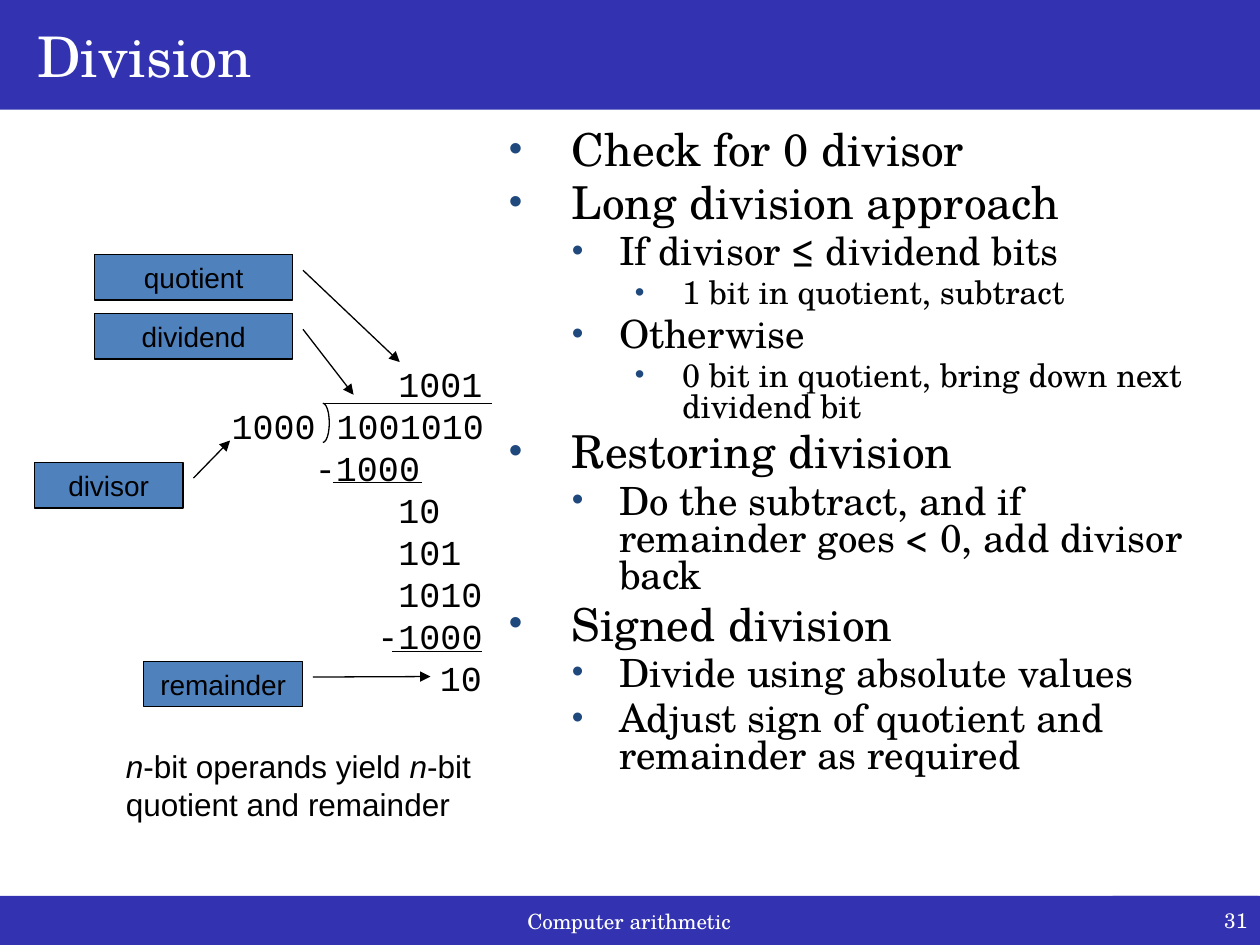
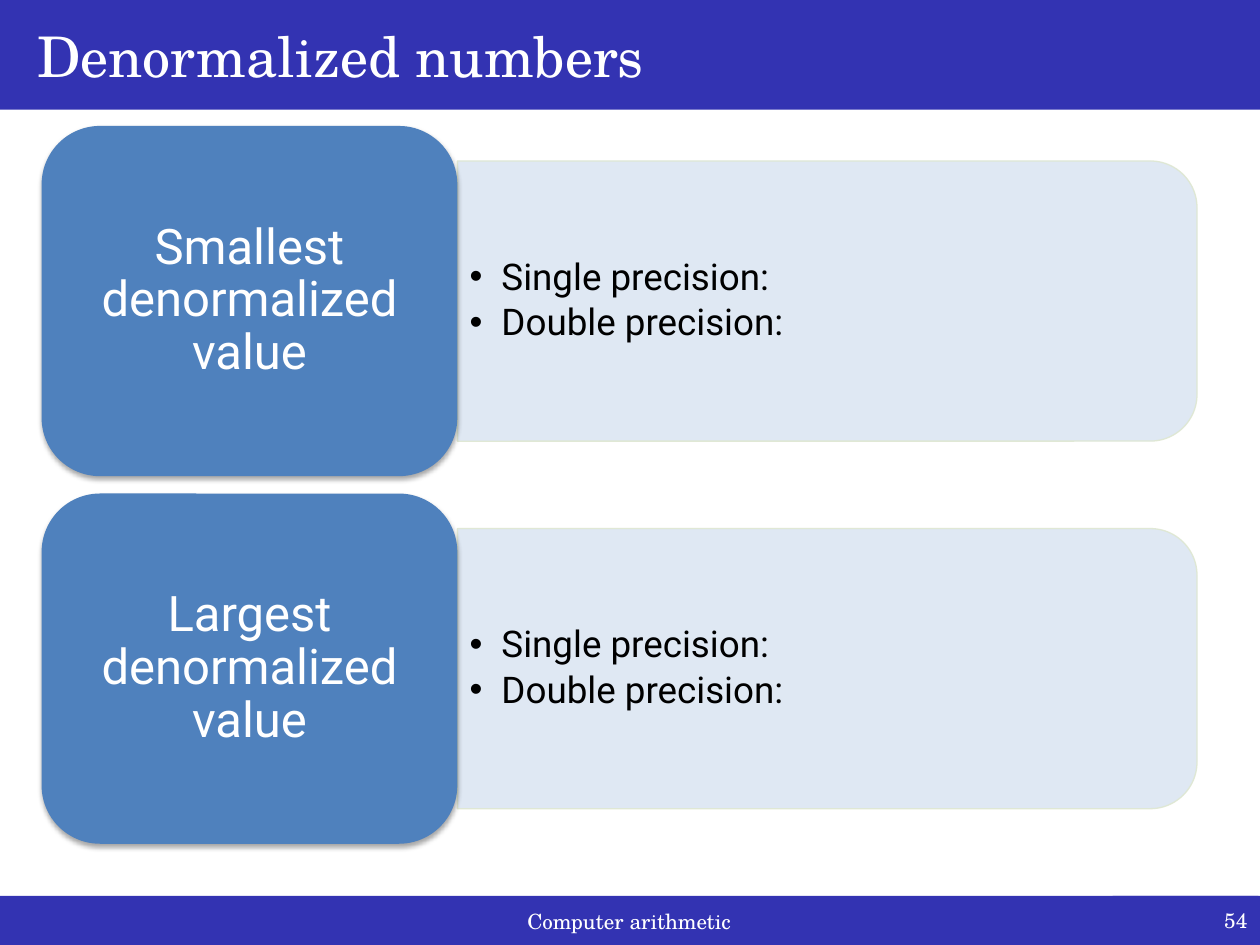
from lxml import etree
from pptx import Presentation
from pptx.dml.color import RGBColor
from pptx.enum.shapes import MSO_CONNECTOR, MSO_SHAPE
from pptx.enum.text import MSO_ANCHOR, PP_ALIGN
from pptx.oxml.ns import qn
from pptx.util import Cm, Pt

RECTANGLE = MSO_SHAPE.RECTANGLE
ROUNDED = MSO_SHAPE.ROUNDED_RECTANGLE
TWO_ROUNDED = MSO_SHAPE.ROUND_2_SAME_RECTANGLE
CALLOUT = MSO_SHAPE.LINE_CALLOUT_1
ARC = MSO_SHAPE.ARC
STRAIGHT = MSO_CONNECTOR.STRAIGHT
TOP, MIDDLE = MSO_ANCHOR.TOP, MSO_ANCHOR.MIDDLE
LEFT, CENTER, RIGHT = PP_ALIGN.LEFT, PP_ALIGN.CENTER, PP_ALIGN.RIGHT

BAND = RGBColor(0x33, 0x33, 0xB2)
BLUE = RGBColor(0x4F, 0x81, 0xBD)
NAVY = RGBColor(0x1F, 0x49, 0x7D)
PALE = RGBColor(0xDC, 0xE6, 0xF2)
PALE_EDGE = RGBColor(0xDE, 0xE7, 0xD1)
BLACK = RGBColor(0, 0, 0)
WHITE = RGBColor(0xFF, 0xFF, 0xFF)

SERIF, SANS, MONO, LABEL = "TeX Gyre Schola", "Arial", "Courier New", "Roboto"
SLIDE_WIDTH, SLIDE_HEIGHT = 25.4, 19.05
MONO_SIZE, MONO_ADVANCE = 20, 0.42
CALLOUT_HEIGHT, CALLOUT_GAP, CALLOUT_DROP = 0.92, 0.21, 0.32

OUTLINE_LEVELS = [(25.9, 1.27, 1.27), (22.2, 2.22, 0.95), (18.5, 3.49, 0.95)]
OUTLINE = [
    (0, "Check for 0 divisor"),
    (0, "Long division approach"),
    (1, "If divisor ≤ dividend bits"),
    (2, "1 bit in quotient, subtract"),
    (1, "Otherwise"),
    (2, "0 bit in quotient, bring down next dividend bit"),
    (0, "Restoring division"),
    (1, "Do the subtract, and if remainder goes < 0, add divisor back"),
    (0, "Signed division"),
    (1, "Divide using absolute values"),
    (1, "Adjust sign of quotient and remainder as required"),
]
WORKED_ROWS = [(8, "1001"), (0, "1000 1001010"), (4, "-1000"), (8, "10"),
               (8, "101"), (8, "1010"), (7, "-1000"), (10, "10")]
RULES = [(5.82, 9.22, 3.0), (6.02, 7.82, 4.6), (7.21, 9.02, 8.0)]
CALLOUTS = [
    ("quotient", 1.22, 0, 3.99, (7.37, 2.17)),
    ("dividend", 1.22, 1.19, 3.99, (6.44, 2.83)),
    ("remainder", 2.21, 8.2, 3.2, (7.99, 8.51)),
    ("divisor", 0, 4.19, 3.0, (3.95, 3.75)),
]


def lengths(box):
    return [Cm(value) for value in box]


def add_child(parent, tag, **attributes):
    return etree.SubElement(parent, qn(tag), attributes)


def add_run(paragraph, text, font, size, color, italic=False):
    run = paragraph.add_run()
    run.text = text
    run.font.name = font
    run.font.size = Pt(size)
    run.font.color.rgb = color
    run.font.italic = italic


def set_indent(paragraph, left, hanging=0):
    properties = paragraph._p.get_or_add_pPr()
    properties.set("marL", str(Cm(left)))
    properties.set("indent", str(-Cm(hanging)))
    return properties


def set_bullet(paragraph, left, hanging, color, percent=100):
    properties = set_indent(paragraph, left, hanging)
    bullet_color = add_child(properties, "a:buClr")
    add_child(bullet_color, "a:srgbClr", val=str(color))
    add_child(properties, "a:buSzPct", val=str(percent * 1000))
    add_child(properties, "a:buFont", typeface=SANS)
    add_child(properties, "a:buChar", char="•")


def set_alpha(color_format_fill, percent):
    color = color_format_fill.find(".//" + qn("a:srgbClr"))
    add_child(color, "a:alpha", val=str(percent * 1000))


def add_shape(slide, kind, box, fill, line=None):
    shape = slide.shapes.add_shape(kind, *lengths(box))
    shape.shadow.inherit = False
    if fill is None:
        shape.fill.background()
    else:
        shape.fill.solid()
        shape.fill.fore_color.rgb = fill
    if line is None:
        shape.line.fill.background()
    else:
        shape.line.color.rgb = line
        shape.line.width = Pt(0.75)
    shape.text_frame.word_wrap = True
    shape.text_frame.vertical_anchor = MIDDLE
    return shape


def add_text_box(slide, box, anchor=TOP):
    frame = slide.shapes.add_textbox(*lengths(box)).text_frame
    frame.word_wrap = True
    frame.vertical_anchor = anchor
    return frame


def next_paragraph(frame, index):
    return frame.add_paragraph() if index else frame.paragraphs[0]


def add_band(slide, box, text, size, alignment, indent=0):
    band = add_shape(slide, RECTANGLE, box, BAND)
    paragraph = band.text_frame.paragraphs[0]
    paragraph.alignment = alignment
    set_indent(paragraph, indent)
    add_run(paragraph, text, SERIF, size, WHITE)
    return paragraph


def add_framed_slide(presentation, title, number):
    slide = presentation.slides.add_slide(presentation.slide_layouts[6])
    add_band(slide, (0, 18.06, 25.37, 1.02), "Computer arithmetic", 12, CENTER)
    add_band(slide, (0, 0, SLIDE_WIDTH, 2.21), title, 32, LEFT, 0.5)
    page = add_band(slide, (22.43, 18.06, 2.97, 0.99), str(number), 12, RIGHT)
    page.space_after = Pt(6)
    return slide


def add_outline(slide, box):
    frame = add_text_box(slide, box)
    for index, (level, text) in enumerate(OUTLINE):
        size, left, hanging = OUTLINE_LEVELS[level]
        paragraph = next_paragraph(frame, index)
        paragraph.level = level
        paragraph.line_spacing = 0.8
        paragraph.space_before = Pt(size * 0.2)
        set_bullet(paragraph, left, hanging, NAVY, 85)
        add_run(paragraph, text, SERIF, size, BLACK)


def add_rule(slide, start, end, y):
    rule = slide.shapes.add_connector(STRAIGHT, *lengths((start, y, end, y)))
    rule.line.color.rgb = BLACK
    rule.line.width = Pt(0.75)
    add_child(rule._element.spPr, "a:effectLst")


def add_callout(slide, text, box, tip):
    left, top, width, height = box
    callout = add_shape(slide, CALLOUT, box, BLUE, BLACK)
    ends = [CALLOUT_DROP / height, 1 + CALLOUT_GAP / width,
            (tip[1] - top) / height, (tip[0] - left) / width]
    for index, value in enumerate(ends):
        callout.adjustments[index] = value
    add_child(callout.line._get_or_add_ln(), "a:tailEnd", type="triangle")
    paragraph = callout.text_frame.paragraphs[0]
    paragraph.alignment = CENTER
    add_run(paragraph, text, SANS, 16, BLACK)


def add_worked_division(slide, box):
    left, top, width, height = box
    frame = add_text_box(slide, (left + 3.73, top + 2.06, 5.59, 7.04))
    frame.margin_right = 0
    for index, (column, digits) in enumerate(WORKED_ROWS):
        paragraph = next_paragraph(frame, index)
        paragraph.line_spacing = Pt(MONO_SIZE * 1.2)
        set_indent(paragraph, column * MONO_ADVANCE)
        add_run(paragraph, digits, MONO, MONO_SIZE, BLACK)

    for start, end, y in RULES:
        add_rule(slide, left + start, left + end, top + y)
    bracket = add_shape(slide, ARC, (left + 5.69, top + 3, 0.26, 0.79), None, BLACK)
    bracket.adjustments[0] = 162
    bracket.adjustments[1] = 54

    for text, x, y, callout_width, tip in CALLOUTS:
        add_callout(slide, text, (left + x, top + y, callout_width, CALLOUT_HEIGHT),
                    (left + tip[0], top + tip[1]))

    note = add_text_box(slide, (left + 1.6, top + 9.8, width - 1.6, height - 9.8))
    paragraph = note.paragraphs[0]
    paragraph.line_spacing = Pt(21.6)
    for ending in ("-bit operands yield ", "-bit"):
        add_run(paragraph, "n", SANS, 18, BLACK, True)
        add_run(paragraph, ending, SANS, 18, BLACK)
    paragraph.add_line_break()
    add_run(paragraph, "quotient and remainder", SANS, 18, BLACK)


def add_label_shadow(shape):
    effects = shape._element.spPr.find(qn("a:effectLst"))
    shadow = add_child(effects, "a:outerShdw", blurRad=str(Pt(3.1)),
                       dist=str(Pt(1.8)), dir="5400000", rotWithShape="0")
    color = add_child(shadow, "a:srgbClr", val=str(BLACK))
    add_child(color, "a:alpha", val="35000")


def add_value_row(slide, box, label):
    left, top, width, height = box
    label_width = 8.38
    panel_width, panel_height = width - label_width, height * 0.8
    panel_left, panel_top = left + label_width, top + height * 0.1
    shift = (panel_width - panel_height) / 2
    panel = add_shape(slide, TWO_ROUNDED,
                      (panel_left + shift, panel_top - shift, panel_height, panel_width),
                      PALE, PALE_EDGE)
    panel.rotation = 90
    properties = panel._element.spPr
    set_alpha(properties.find(qn("a:solidFill")), 90)
    set_alpha(properties.find(qn("a:ln")), 90)

    frame = add_text_box(slide, (panel_left, panel_top, panel_width, panel_height), MIDDLE)
    for index, text in enumerate(("Single precision:", "Double precision:")):
        paragraph = next_paragraph(frame, index)
        paragraph.line_spacing = 0.9
        paragraph.space_after = Pt(3.15)
        set_bullet(paragraph, 0.64, 0.64, BLACK)
        add_run(paragraph, text, LABEL, 21, BLACK)

    tile = add_shape(slide, ROUNDED, (left, top, label_width, height), BLUE)
    add_label_shadow(tile)
    tile.text_frame.margin_left = tile.text_frame.margin_right = Cm(0.66)
    paragraph = tile.text_frame.paragraphs[0]
    paragraph.alignment = CENTER
    paragraph.line_spacing = 0.9
    add_run(paragraph, label, LABEL, 28, WHITE)


def build_division_slide(presentation):
    slide = add_framed_slide(presentation, "Division", 31)
    add_outline(slide, (10.01, 2.54, 14.12, 14.48))
    add_worked_division(slide, (0.69, 5.13, 9.4, 11.58))


def build_denormalized_slide(presentation):
    slide = add_framed_slide(presentation, "Denormalized numbers", 54)
    row_height, row_gap = 7.06, 0.35
    for index, size_word in enumerate(("Smallest", "Largest")):
        top = 2.54 + index * (row_height + row_gap)
        add_value_row(slide, (0.84, top, 23.29, row_height),
                      f"{size_word} denormalized value")


def main():
    presentation = Presentation()
    presentation.slide_width = Cm(SLIDE_WIDTH)
    presentation.slide_height = Cm(SLIDE_HEIGHT)
    build_division_slide(presentation)
    build_denormalized_slide(presentation)
    presentation.save("out.pptx")


if __name__ == "__main__":
    main()
